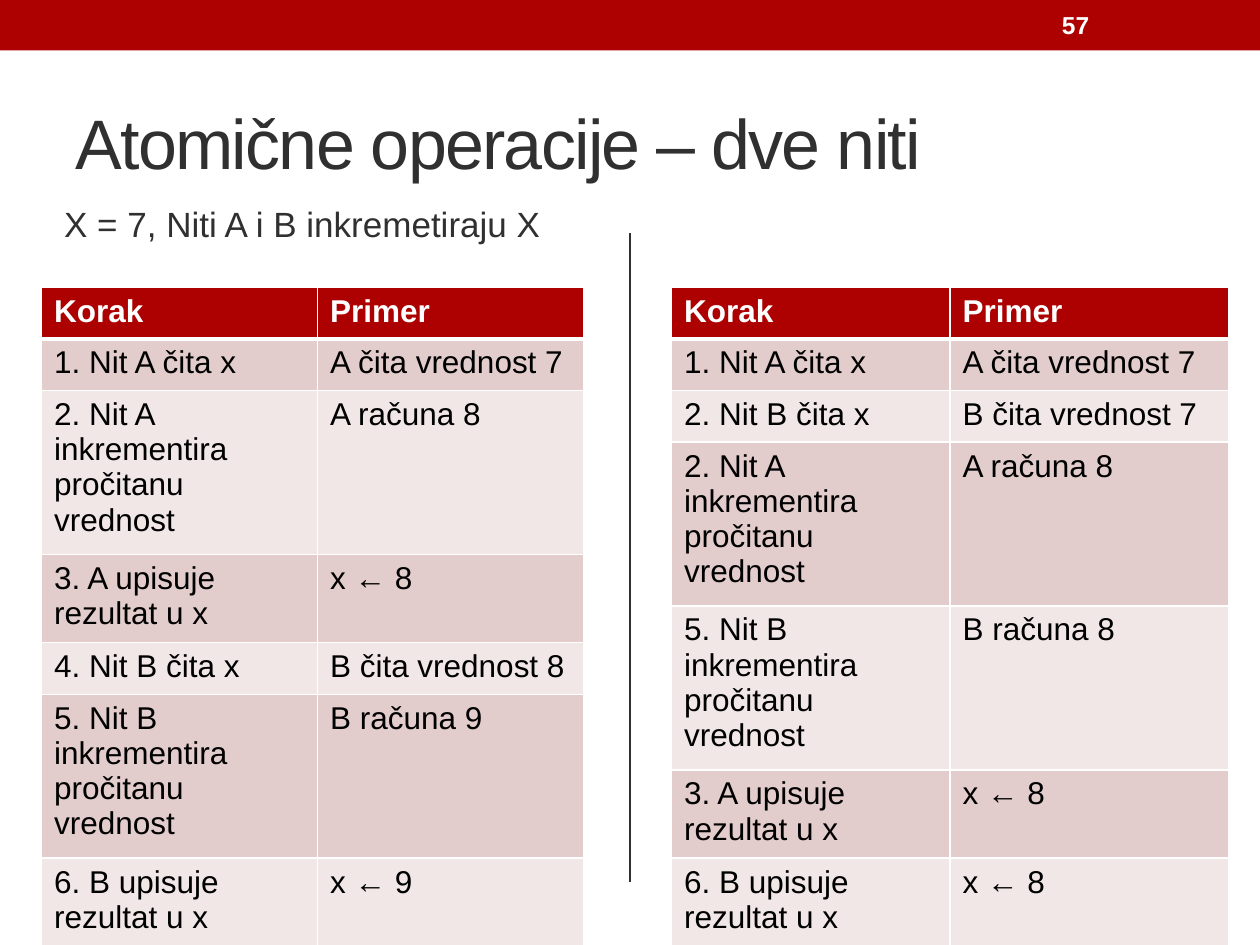
from lxml import etree
from pptx import Presentation
from pptx.dml.color import RGBColor
from pptx.enum.shapes import MSO_CONNECTOR, MSO_SHAPE
from pptx.enum.text import MSO_ANCHOR, MSO_AUTO_SIZE, PP_ALIGN
from pptx.oxml.ns import qn
from pptx.util import Inches, Pt

LEFT, CENTER = PP_ALIGN.LEFT, PP_ALIGN.CENTER
MIDDLE = MSO_ANCHOR.MIDDLE
NO_AUTOFIT = MSO_AUTO_SIZE.NONE
RECTANGLE = MSO_SHAPE.RECTANGLE
STRAIGHT = MSO_CONNECTOR.STRAIGHT

FONT = "Arial"
COLORS = {
    "accent": "AD0101",
    "dark": "303030",
    "black": "000000",
    "white": "FFFFFF",
    "band_dark": "E3CCCC",
    "band_light": "F1E7E7",
}
ROW_HEIGHT = 0.41

SEQUENTIAL_STEPS = [
    ("Korak", "Primer"),
    ("1. Nit A čita x", "A čita vrednost 7"),
    ("2. Nit A inkrementira pročitanu vrednost", "A računa 8"),
    ("3. A upisuje rezultat u x", "x ← 8"),
    ("4. Nit B čita x", "B čita vrednost 8"),
    ("5. Nit B inkrementira pročitanu vrednost", "B računa 9"),
    ("6. B upisuje rezultat u x", "x ← 9"),
]
INTERLEAVED_STEPS = [
    ("Korak", "Primer"),
    ("1. Nit A čita x", "A čita vrednost 7"),
    ("2. Nit B čita x", "B čita vrednost 7"),
    ("2. Nit A inkrementira pročitanu vrednost", "A računa 8"),
    ("5. Nit B inkrementira pročitanu vrednost", "B računa 8"),
    ("3. A upisuje rezultat u x", "x ← 8"),
    ("6. B upisuje rezultat u x", "x ← 8"),
]


def color(name):
    return RGBColor.from_string(COLORS[name])


def write_text(frame, text, size, ink, bold=False, align=LEFT, spacing=None):
    """Put one formatted paragraph into a text frame."""
    frame.word_wrap = True
    para = frame.paragraphs[0]
    para.alignment = align
    span = para.add_run()
    span.text = text
    span.font.name = FONT
    span.font.size = Pt(size)
    span.font.bold = bold
    span.font.color.rgb = color(ink)
    if spacing is not None:
        span.font._element.set("spc", str(int(spacing * 100)))
    return para


def place(shape, left, top, width, height):
    shape.left, shape.top = Inches(left), Inches(top)
    shape.width, shape.height = Inches(width), Inches(height)


def fill_placeholder(shape, box, text, size, **text_format):
    place(shape, *box)
    frame = shape.text_frame
    frame.auto_size = NO_AUTOFIT
    frame.vertical_anchor = MIDDLE
    return write_text(frame, text, size, "dark", **text_format)


def add_header_bar(page, left, top, width, height):
    bar = page.shapes.add_shape(
        RECTANGLE, Inches(left), Inches(top), Inches(width), Inches(height))
    bar.shadow.inherit = False
    bar.fill.solid()
    bar.fill.fore_color.rgb = color("accent")
    bar.line.fill.background()

    # Page number inside the bar
    number = page.shapes.add_textbox(
        Inches(left + 8.33), Inches(top + 0.02), Inches(1.17), Inches(height - 0.04))
    number.text_frame.vertical_anchor = MIDDLE
    write_text(number.text_frame, "57", 14, "white", bold=True)


def add_divider(page, x, top, bottom):
    line = page.shapes.add_connector(
        STRAIGHT, Inches(x), Inches(top), Inches(x), Inches(bottom))
    line.line.color.rgb = color("dark")
    line.line.width = Pt(1.5)
    etree.SubElement(line._element.spPr, qn("a:effectLst"))


def set_borders(cell, bottom_width):
    """Draw white cell borders; they must precede the fill in the XML."""
    properties = cell._tc.get_or_add_tcPr()
    widths = {"a:lnL": 1, "a:lnR": 1, "a:lnT": 1, "a:lnB": bottom_width}
    for index, (side, width) in enumerate(widths.items()):
        border = etree.Element(qn(side), w=str(Pt(width)))
        paint = etree.SubElement(border, qn("a:solidFill"))
        etree.SubElement(paint, qn("a:srgbClr"), val=COLORS["white"])
        properties.insert(index, border)


def add_steps_table(page, left, top, height, column_widths, steps):
    holder = page.shapes.add_table(
        len(steps), len(column_widths), Inches(left), Inches(top),
        Inches(sum(column_widths)), Inches(height))
    table = holder.table
    for column, width in zip(table.columns, column_widths):
        column.width = Inches(width)
    for row_index, texts in enumerate(steps):
        header = row_index == 0
        band = "accent" if header else ("band_light", "band_dark")[row_index % 2]
        # Minimum height: rows grow with wrapped text
        table.rows[row_index].height = Inches(ROW_HEIGHT)
        for column_index, text in enumerate(texts):
            cell = table.cell(row_index, column_index)
            cell.fill.solid()
            cell.fill.fore_color.rgb = color(band)
            set_borders(cell, 3 if header else 1)
            write_text(cell.text_frame, text, 18,
                       "white" if header else "black", bold=header)
    holder.height = Inches(height)


def main():
    deck = Presentation()
    deck.slide_width, deck.slide_height = Inches(10), Inches(7.5)
    page = deck.slides.add_slide(deck.slide_layouts[1])

    # Header and divider
    add_header_bar(page, 0, 0, 10, 0.4)
    add_divider(page, 5, 1.85, 7)

    # Title and starting condition
    fill_placeholder(page.shapes.title, (0.5, 0.58, 9, 1.08),
                     "Atomične operacije – dve niti", 40, spacing=-1)
    condition = fill_placeholder(page.placeholders[1], (0.25, 1.42, 4.3, 0.7),
                                 "X = 7, Niti A i B inkremetiraju X", 20, align=CENTER)
    properties = condition._p.get_or_add_pPr()
    properties.set("marL", "0")
    properties.set("indent", "0")
    etree.SubElement(properties, qn("a:buNone"))

    # Two execution orders side by side
    add_steps_table(page, 0.33, 2.28, 5.22, (2.19, 2.11), SEQUENTIAL_STEPS)
    add_steps_table(page, 5.33, 2.28, 5.22, (2.21, 2.21), INTERLEAVED_STEPS)

    deck.save("out.pptx")


if __name__ == "__main__":
    main()
